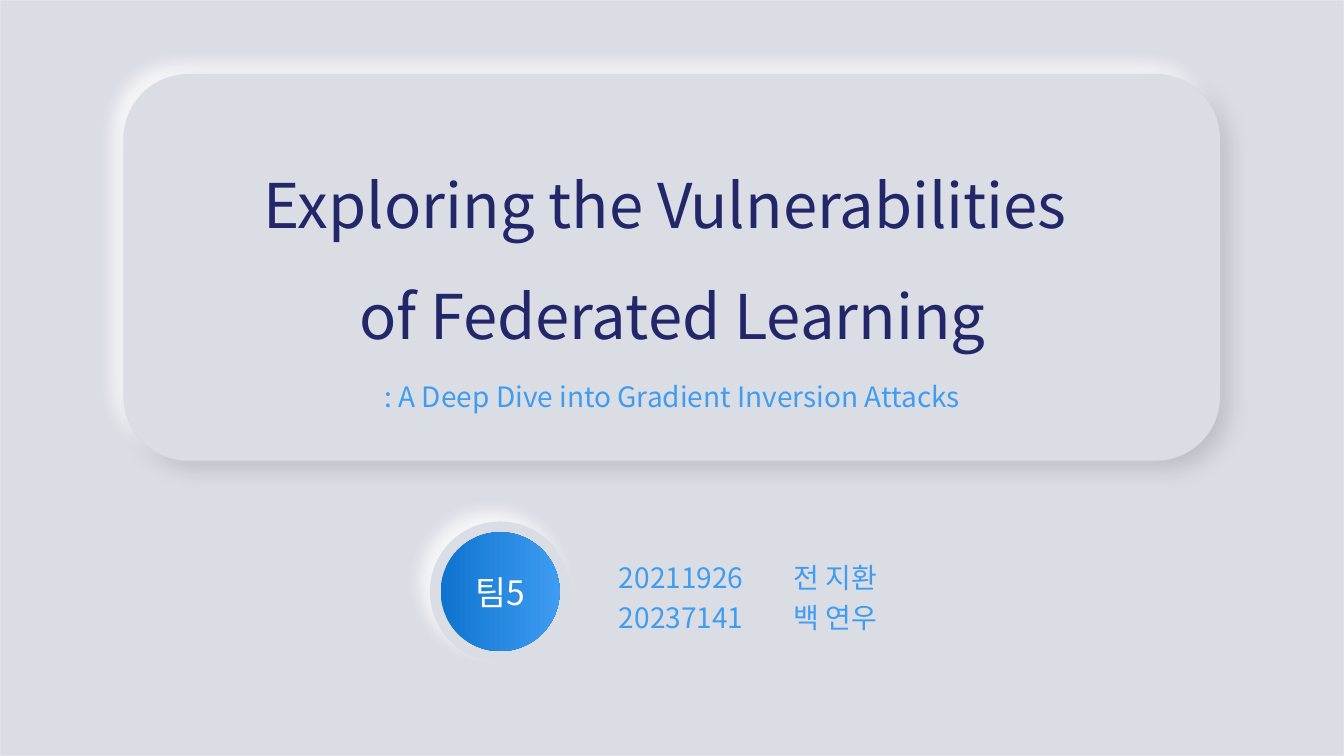
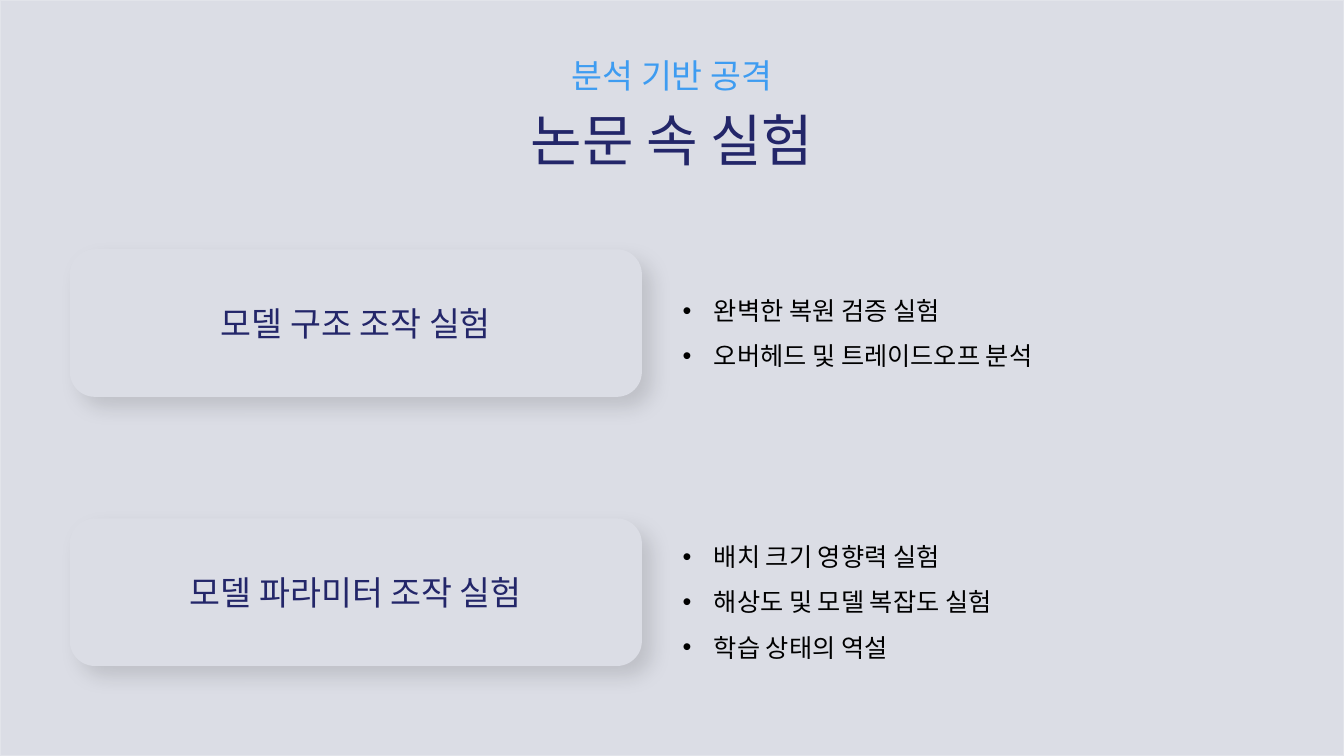
from lxml import etree
from pptx import Presentation
from pptx.dml.color import RGBColor
from pptx.enum.shapes import MSO_SHAPE
from pptx.enum.text import MSO_ANCHOR, MSO_AUTO_SIZE, PP_ALIGN
from pptx.oxml.ns import qn
from pptx.util import Pt

PX = 9144  # 100 px to the inch
WIDTH, HEIGHT = 1333, 750
FONT = "Noto Sans CJK KR"
COLORS = {
    "surface": "DBDDE5",
    "edge": "E2E4EA",
    "navy": "232669",
    "sky": "3E9CF1",
    "blue": "0F74CF",
    "white": "FFFFFF",
    "black": "000000",
}
# colour, opacity in %, blur and distance in points, direction in degrees
GLOW = ("white", 78, 12, 10, 225)
SHADE = ("black", 12, 15, 10, 45)
RECT, ROUNDED, OVAL = MSO_SHAPE.RECTANGLE, MSO_SHAPE.ROUNDED_RECTANGLE, MSO_SHAPE.OVAL
LEFT, CENTER = PP_ALIGN.LEFT, PP_ALIGN.CENTER
TOP, MIDDLE = MSO_ANCHOR.TOP, MSO_ANCHOR.MIDDLE

TITLE = {"size": 40, "color": "navy"}
KICKER = {"size": 24, "color": "sky"}
COVER_TITLE = {"size": 44, "color": "navy", "spacing": 1.5}
COVER_SUBTITLE = {"size": 20, "color": "sky", "spacing": 1.5}
MEMBERS = {"size": 20, "color": "sky", "spacing": 1.2, "align": LEFT, "tab": 173}
BADGE = {"size": 24, "color": "white", "anchor": MIDDLE}
CARD = {"size": 24, "color": "navy", "anchor": MIDDLE}
BULLETS = {"size": 18, "color": "black", "spacing": 1.5, "align": LEFT, "indent": 31}


def rgb(name):
    return RGBColor.from_string(COLORS[name])


def add_plate(slide, kind, bounds, fill, line=None, shadow=None):
    plate = slide.shapes.add_shape(kind, *(length * PX for length in bounds))
    plate.fill.solid()
    plate.fill.fore_color.rgb = rgb(fill)
    if line:
        plate.line.color.rgb = rgb(line)
        plate.line.width = Pt(1)
    else:
        plate.line.fill.background()
    plate.shadow.inherit = False
    if shadow:
        name, opacity, blur, distance, angle = shadow
        effects = plate._element.spPr.find(qn("a:effectLst"))
        outer = etree.SubElement(
            effects, qn("a:outerShdw"), blurRad=str(Pt(blur)), dist=str(Pt(distance)),
            dir=str(angle * 60000), algn="ctr", rotWithShape="0")
        color = etree.SubElement(outer, qn("a:srgbClr"), val=COLORS[name])
        etree.SubElement(color, qn("a:alpha"), val=str(opacity * 1000))
    return plate


def write(shape, lines, style, bounds=None):
    """Fill a shape with one paragraph per line, moving it first if bounds are given."""
    if bounds:
        for side, length in zip(("left", "top", "width", "height"), bounds):
            setattr(shape, side, length * PX)
    frame = shape.text_frame
    frame.word_wrap = True
    frame.auto_size = MSO_AUTO_SIZE.NONE
    frame.vertical_anchor = style.get("anchor", TOP)
    for number, line in enumerate(lines):
        para = frame.add_paragraph() if number else frame.paragraphs[0]
        layout = {"alignment": style.get("align", CENTER), "space_before": Pt(0),
                  "line_spacing": style.get("spacing", 1.0)}
        for name, value in layout.items():
            setattr(para, name, value)
        properties = para._p.get_or_add_pPr()
        if "indent" in style:
            properties.set("marL", str(style["indent"] * PX))
            properties.set("indent", str(-style["indent"] * PX))
            etree.SubElement(properties, qn("a:buFont"), typeface="Arial")
            etree.SubElement(properties, qn("a:buChar"), char="•")
        if "tab" in style:
            tabs = etree.SubElement(properties, qn("a:tabLst"))
            etree.SubElement(tabs, qn("a:tab"), pos=str(style["tab"] * PX), algn="l")
        span = para.add_run()
        span.text = line
        span.font.size = Pt(style["size"])
        span.font.color.rgb = rgb(style["color"])
        span.font.name = FONT
        etree.SubElement(span._r.get_or_add_rPr(), qn("a:ea"), typeface=FONT)


deck = Presentation()
deck.slide_width, deck.slide_height = WIDTH * PX, HEIGHT * PX

# Cover
cover = deck.slides.add_slide(deck.slide_layouts[0])

# The backdrop is drawn once and moved to the master
backdrop = add_plate(cover, RECT, (0, 0, WIDTH, HEIGHT), "surface", "edge")
backdrop._element.nvSpPr.cNvPr.set("id", "99")
deck.slide_master.shapes._spTree.insert(2, backdrop._element)

panel = (123, 74, 1087, 383)
add_plate(cover, ROUNDED, panel, "edge", "edge", GLOW)
add_plate(cover, ROUNDED, panel, "surface", shadow=SHADE)

heading, subtitle = cover.placeholders
write(heading, ["Exploring the Vulnerabilities ", "of Federated Learning"],
      COVER_TITLE, (160, 124, 1014, 217))
write(subtitle, [": A Deep Dive into Gradient Inversion Attacks"],
      COVER_SUBTITLE, (160, 355, 1014, 54))
for placeholder in (heading, subtitle):  # bring in front of the panel
    cover.shapes._spTree.append(placeholder._element)

add_plate(cover, OVAL, (427, 518, 138, 138), "surface", "surface", GLOW)
badge = add_plate(cover, OVAL, (437, 528, 118, 118), "blue")
badge.fill.gradient()
badge.fill.gradient_angle = 0
for stop, name in zip(badge.fill.gradient_stops, ("blue", "sky")):
    stop.color.rgb = rgb(name)
write(badge, ["팀5"], BADGE)

members = cover.shapes.add_textbox(0, 0, PX, PX)
write(members, ["20211926\t전 지환", "20237141\t백 연우"], MEMBERS, (604, 544, 331, 86))

# Experiments
page = deck.slides.add_slide(deck.slide_layouts[3])
heading, *lists = page.placeholders
write(heading, ["논문 속 실험"], TITLE, (0, 100, WIDTH, 77))
kicker = page.shapes.add_textbox(0, 0, PX, PX)
write(kicker, ["분석 기반 공격"], KICKER, (0, 50, WIDTH, 50))

EXPERIMENTS = [
    ("모델 구조 조작 실험", ["완벽한 복원 검증 실험", "오버헤드 및 트레이드오프 분석"]),
    ("모델 파라미터 조작 실험",
     ["배치 크기 영향력 실험", "해상도 및 모델 복잡도 실험", "학습 상태의 역설"]),
]
CARD_TOP, CARD_PITCH, CARD_HEIGHT = 248, 267, 145
for row, (bullet_list, (name, points)) in enumerate(zip(lists, EXPERIMENTS)):
    top = CARD_TOP + row * CARD_PITCH
    card = add_plate(page, ROUNDED, (70, top, 566, CARD_HEIGHT), "surface", "surface", SHADE)
    write(card, [name], CARD)
    height = 5 + 45 * len(points)
    list_top = top + (CARD_HEIGHT - height) // 2
    write(bullet_list, points, BULLETS, (667, list_top, 564, height))

deck.save("out.pptx")
